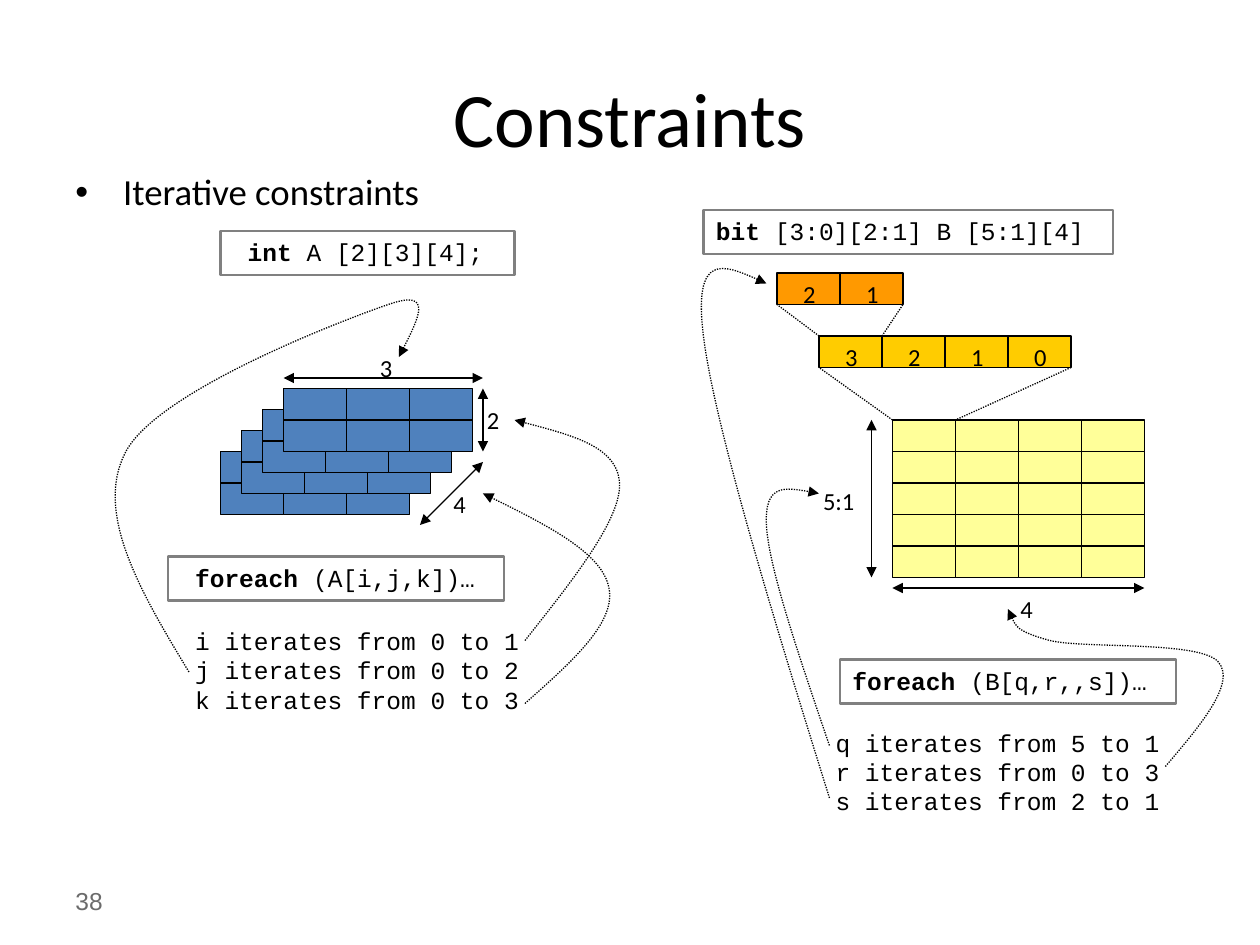
from lxml.etree import SubElement
from pptx import Presentation
from pptx.dml.color import RGBColor
from pptx.enum.dml import MSO_LINE
from pptx.enum.shapes import MSO_CONNECTOR, MSO_SHAPE
from pptx.enum.text import MSO_ANCHOR, PP_ALIGN
from pptx.oxml.ns import qn
from pptx.util import Inches, Pt

deck = Presentation()
deck.slide_width, deck.slide_height = Inches(10), Inches(7.5)
U = deck.slide_width / 120  # grid of 120 columns by 90 rows
slide = deck.slides.add_slide(deck.slide_layouts[5])
items = slide.shapes


def tint(fill, tone):
    fill.solid()
    fill.fore_color.rgb = RGBColor.from_string(tone)


def write(shape, lines, face="Calibri", size=14, tone="000000", wrap=True,
          anchor=MSO_ANCHOR.TOP, align=PP_ALIGN.LEFT):
    """Fill a shape with lines; the part before a bar is bold."""
    frame = shape.text_frame
    frame.word_wrap, frame.vertical_anchor = wrap, anchor
    for n, line in enumerate(lines):
        para = frame.paragraphs[0] if n == 0 else frame.add_paragraph()
        para.alignment = align
        strong, _, plain = line.rpartition("|")
        for words, bold in ((strong, True), (plain, False)):
            if words:
                run = para.add_run()
                run.text = words
                look = {"name": face, "size": Pt(size), "bold": bold}
                for key, val in look.items():
                    setattr(run.font, key, val)
                tint(run.font.fill, tone)


# Title
title = slide.shapes.title
spot = {"left": 6, "top": 3.6, "width": 108, "height": 15}
for key, val in spot.items():
    setattr(title, key, int(val * U))
write(title, ["Constraints"], size=44, anchor=MSO_ANCHOR.MIDDLE,
      align=PP_ALIGN.CENTER)

# Free text: left, top, width, height, lines, format
mono = {"face": "Courier New"}
texts = [
    (6, 83.4, 28, 4.8, ["38"],
     {"face": "Arial", "tone": "6B6B6B", "anchor": MSO_ANCHOR.MIDDLE}),
    (6, 16, 108, 15, ["Iterative constraints"], {"size": 21}),
    (16, 59, 39, 12.4, [f" {v} iterates from 0 to {n}"
                        for v, n in zip("ijk", (1, 2, 3))], mono),
    (77, 68.7, 39, 12.4, [f" {v} iterates from {a} to {b}" for v, a, b in
                          (("q", 5, 1), ("r", 0, 3), ("s", 2, 1))], mono),
    (45.2, 38, 3.7, 4, ["2"], {}),
    (35, 33, 3.7, 4, ["3"], {}),
    (42, 46, 3.7, 4, ["4"], {}),
    (77.2, 45.7, 5.6, 4, ["5:1"], {"wrap": False}),
    (96, 56, 3.7, 4, ["4"], {"wrap": False}),
]

# Cell blocks: left, top, columns, rows, fill, digits
W, H = 6, 3
blocks = [(21 + 2 * n, 43 - 2 * n, 3, 2, "4F81BD", "") for n in range(4)]
blocks += [(85, 40, 4, 5, "FFFF99", ""), (78, 32, 4, 1, "FFCC00", "3210"),
           (74, 26, 2, 1, "FF9900", "21")]
for left, top, cols, rows, tone, marks in blocks:
    for row in range(rows):
        for col in range(cols):
            cell = items.add_shape(
                MSO_SHAPE.RECTANGLE, int((left + col * W) * U),
                int((top + row * H) * U), int(W * U), int(H * U))
            cell.shadow.inherit = False
            tint(cell.fill, tone)
            tint(cell.line.fill, "000000")
            cell.line.width = Pt(0.75)
    texts += [(left + 1.3 + n * W, top, 3.7, 4, [mark], {})
              for n, mark in enumerate(marks)]

# Code boxes
for left, top, width, code in [
        (67, 20, 39, "bit |[3:0][2:1] B [5:1][4]"),
        (21, 22, 28, " int |A [2][3][4];"),
        (16, 53, 32, " foreach |(A[i,j,k])…"),
        (80, 62.8, 32, "foreach| (B[q,r,,s])…")]:
    box = items.add_shape(MSO_SHAPE.RECTANGLE, int(left * U), int(top * U),
                          int(width * U), int(4.2 * U))
    box.shadow.inherit = False
    box.fill.background()
    tint(box.line.fill, "808080")
    box.line.width = Pt(1.25)
    write(box, [code], **mono)

for left, top, width, height, lines, form in texts:
    note = items.add_textbox(int(left * U), int(top * U),
                             int(width * U), int(height * U))
    write(note, lines, **form)
    if form.get("size") == 21:
        para = note.text_frame.paragraphs[0]
        para.line_spacing, para.space_before = 0.9, Pt(4)
        props = para._p.get_or_add_pPr()
        props.set("marL", str(Inches(0.38)))
        props.set("indent", str(-Inches(0.38)))
        SubElement(props, qn("a:buFont")).set("typeface", "Arial")
        SubElement(props, qn("a:buChar")).set("char", "•")

# Lines and curves: points, dotted, arrow ends
both, last = ("headEnd", "tailEnd"), ("tailEnd",)
sizes = [[(27, 36), (46, 36)], [(46, 37), (46, 43)], [(46, 44), (40, 50)],
         [(83, 40), (83, 55)], [(85, 56), (109, 56)]]
zooms = [[(85, 40), (78, 35)], [(102, 35), (91, 40)],
         [(78, 32), (74, 29)], [(84, 32), (86, 29)]]
curves = [
    [(50, 61), (54.6, 55.2), (59.2, 49.4), (59, 46),
     (58.8, 42.5), (53.9, 41.3), (49, 40)],
    [(18, 64), (13.4, 56.4), (8.9, 48.8), (12, 43), (15.1, 37.2),
     (32.6, 30.5), (37, 29), (41.3, 27.5), (39.7, 30.7), (38, 34)],
    [(50, 67), (54.4, 63.1), (58.7, 59.3), (58, 56),
     (57.4, 52.7), (51.7, 49.8), (46, 47)],
    [(79, 71), (76.1, 62.5), (73.2, 54), (73, 50),
     (72.8, 46), (75.4, 46.5), (78, 47)],
    [(111, 73), (114.4, 69), (117.8, 65), (116, 63), (114.1, 61),
     (103.3, 61.8), (100, 61), (96.7, 60.1), (96.4, 59), (96, 58)],
    [(79, 76), (73.4, 58.1), (68, 40.2), (67, 32),
     (66, 23.9), (69.5, 25.4), (73, 27)],
]
links = [(s, False, both) for s in sizes]
links += [(z, True, ()) for z in zooms] + [(c, True, last) for c in curves]
for points, dotted, ends in links:
    spots = [(int(x * U), int(y * U)) for x, y in points]
    if len(spots) == 2:
        link = items.add_connector(MSO_CONNECTOR.STRAIGHT,
                                   *spots[0], *spots[1])
    else:
        pen = items.build_freeform(*spots[0])
        pen.add_line_segments(spots[1:], close=False)
        link = pen.convert_to_shape()
        link.fill.background()
        # Each three points become one Bezier segment
        trace = next(link.element.iter(qn("a:path")))
        steps = list(trace)[1:]
        for n in range(0, len(steps), 3):
            bend = SubElement(trace, qn("a:cubicBezTo"))
            for step in steps[n:n + 3]:
                bend.append(step[0])
                trace.remove(step)
    tint(link.line.fill, "000000")
    link.line.width = Pt(0.75)
    if dotted:
        link.line.dash_style = MSO_LINE.ROUND_DOT
    stroke = link.line._get_or_add_ln()
    for end in ends:
        SubElement(stroke, qn("a:" + end)).set("type", "triangle")
    SubElement(link.element.spPr, qn("a:effectLst"))

deck.save("out.pptx")
